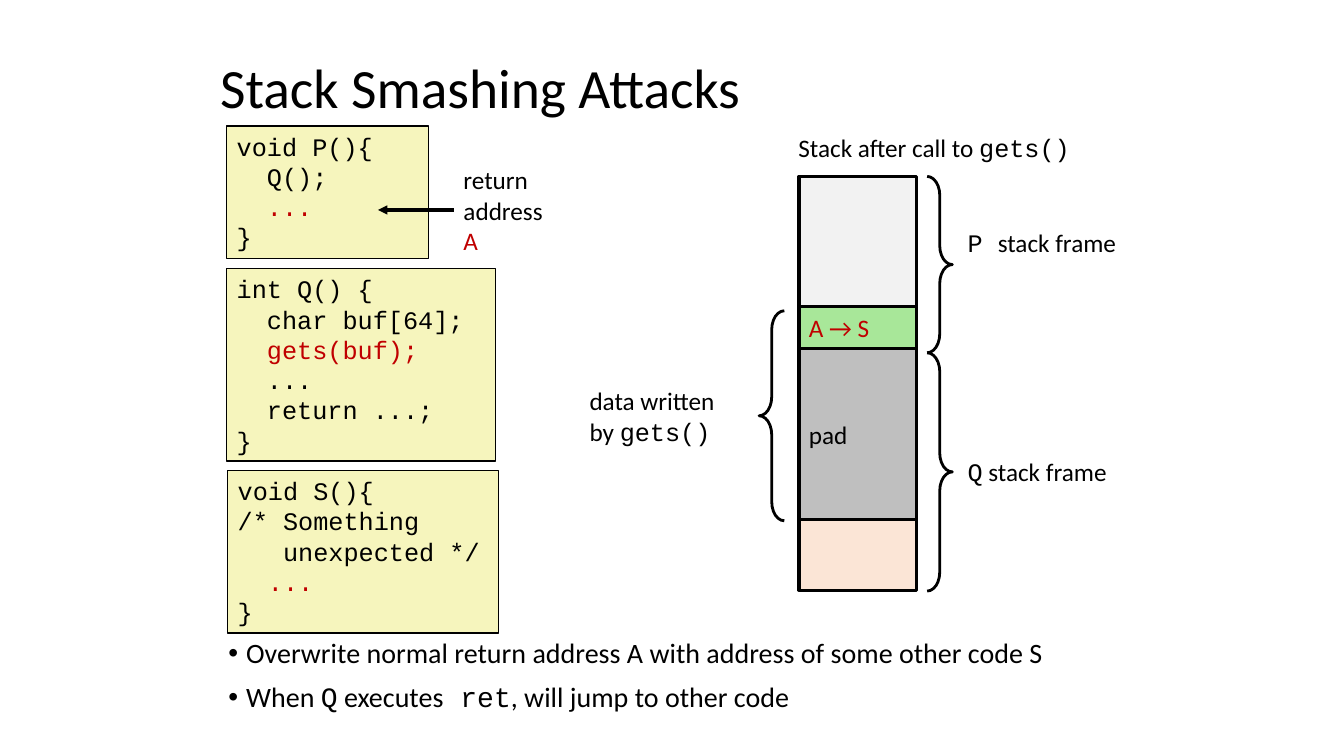
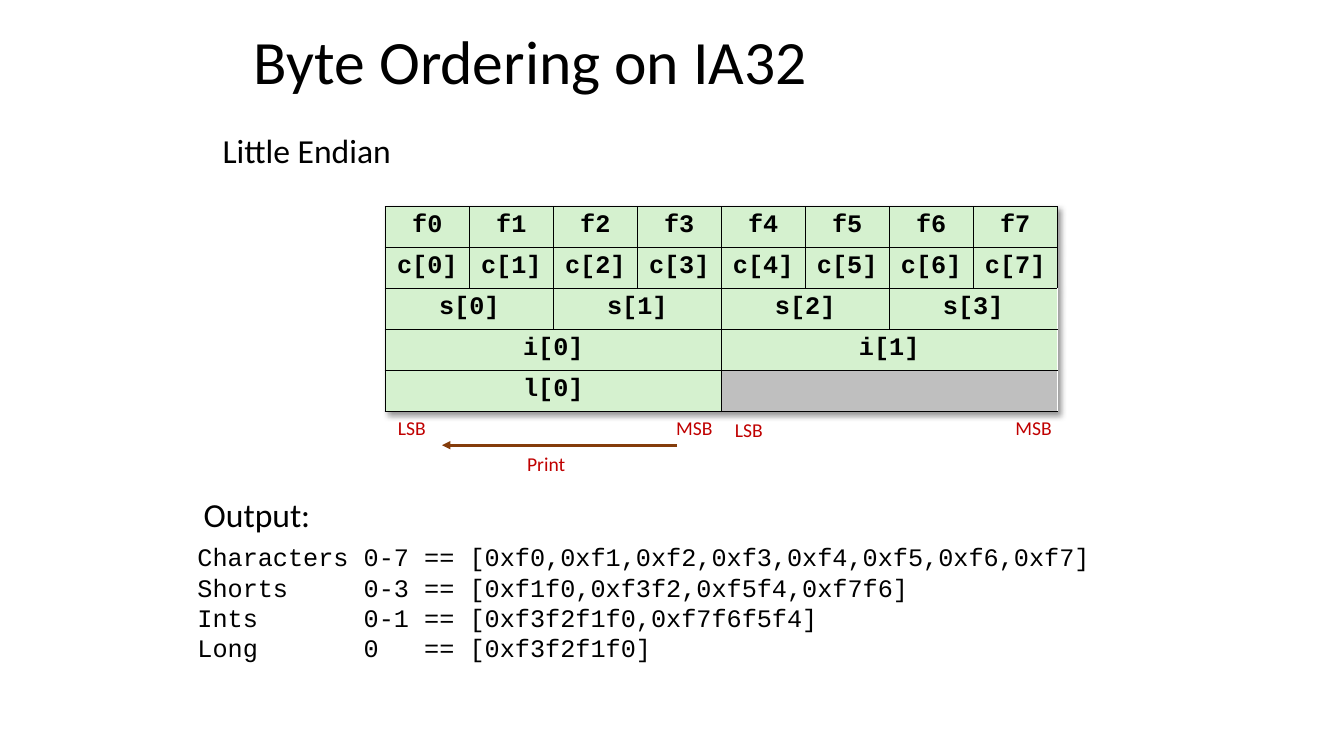
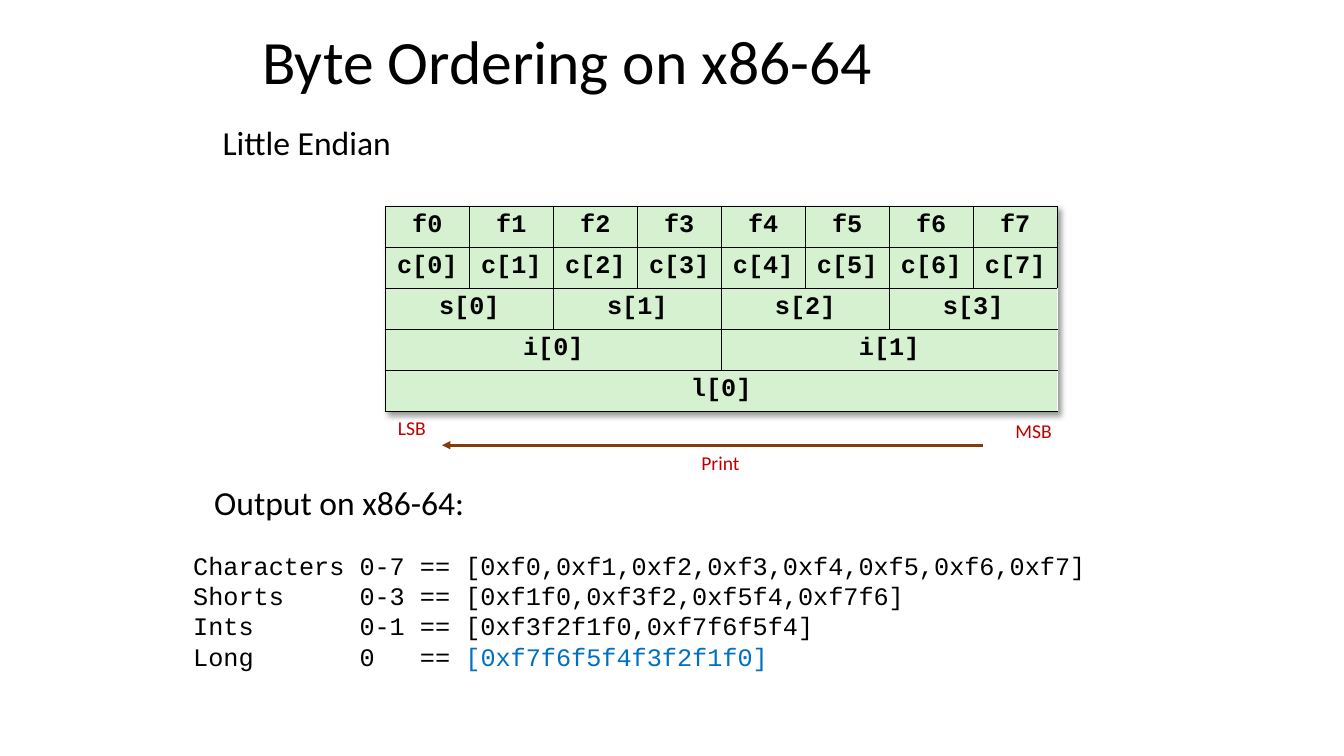
from lxml.etree import SubElement
from pptx import Presentation
from pptx.dml.color import RGBColor
from pptx.enum.shapes import MSO_CONNECTOR, MSO_SHAPE
from pptx.enum.text import MSO_ANCHOR, MSO_AUTO_SIZE, PP_ALIGN
from pptx.oxml.ns import qn
from pptx.util import Emu, Pt

SANS, MONO = "Calibri", "Courier New"
BLACK, RED, BLUE, BROWN = "000000", "C00000", "0070C0", "843C0B"
CODE_FILL, BYTE_FILL, UNUSED_FILL = "F6F5BD", "D5F1CF", "BFBFBF"
TITLE_ONLY = 5
BYTES = 8


def px(length):
    return Emu(length * 9525)


def color(hex_string):
    return RGBColor.from_string(hex_string)


def box_of(*lengths):
    return [px(length) for length in lengths]


# Text: a paragraph is a list of runs, a run is a string or (string, changes)
def mono(text):
    return text, {"font": MONO}


def red(text):
    return text, {"ink": RED}


def add_run(paragraph, text, size, font=SANS, ink=BLACK, bold=False):
    run = paragraph.add_run()
    run.text = text
    run.font.size = Pt(size)
    run.font.name = font
    run.font.bold = bold
    run.font.color.rgb = color(ink)


def write(frame, paragraphs, size, align=PP_ALIGN.LEFT, before=0, spacing=1.0, **style):
    for number, runs in enumerate(paragraphs):
        paragraph = frame.add_paragraph() if number else frame.paragraphs[0]
        paragraph.alignment = align
        paragraph.space_before = Pt(before)
        paragraph.line_spacing = spacing
        for run in runs:
            text, changes = (run, {}) if isinstance(run, str) else run
            add_run(paragraph, text, size, **{**style, **changes})


def set_frame(frame, anchor=MSO_ANCHOR.TOP, inset=None):
    frame.word_wrap = True
    frame.auto_size = MSO_AUTO_SIZE.NONE
    frame.vertical_anchor = anchor
    if inset is not None:
        frame.margin_left = frame.margin_right = px(inset)
        frame.margin_top = frame.margin_bottom = px(inset)


def add_label(slide, box, paragraphs, size=18, anchor=MSO_ANCHOR.TOP, inset=None, **style):
    label = slide.shapes.add_textbox(*box_of(*box))
    set_frame(label.text_frame, anchor, inset)
    write(label.text_frame, paragraphs, size, **style)
    return label


def add_titled_slide(deck, title, box, size=44):
    slide = deck.slides.add_slide(deck.slide_layouts[TITLE_ONLY])
    heading = slide.shapes.title
    heading.left, heading.top, heading.width, heading.height = box_of(*box)
    set_frame(heading.text_frame, MSO_ANCHOR.MIDDLE)
    write(heading.text_frame, [[title]], size, spacing=0.9)
    return slide


def add_bullets(slide, box, paragraphs, size, indent):
    bullets = add_label(slide, box, paragraphs, size, MSO_ANCHOR.MIDDLE, before=10, spacing=0.9)
    for paragraph in bullets.text_frame.paragraphs:
        properties = paragraph._p.get_or_add_pPr()
        properties.set("marL", str(px(indent)))
        properties.set("indent", str(px(-indent)))
        SubElement(properties, qn("a:buFont"), typeface="Arial")
        SubElement(properties, qn("a:buChar"), char="•")


# Shapes and lines
def add_block(slide, box, fill, width, paragraphs=(), anchor=MSO_ANCHOR.MIDDLE, **style):
    block = slide.shapes.add_shape(MSO_SHAPE.RECTANGLE, *box_of(*box))
    block.shadow.inherit = False
    block.fill.solid()
    block.fill.fore_color.rgb = color(fill)
    block.line.color.rgb = color(BLACK)
    block.line.width = Pt(width)
    set_frame(block.text_frame, anchor)
    write(block.text_frame, paragraphs, 18, **style)


def add_code(slide, box, lines):
    add_block(slide, box, CODE_FILL, 1, lines, MSO_ANCHOR.TOP, font=MONO)


def add_brace(slide, preset, box):
    brace = slide.shapes.add_shape(preset, *box_of(*box))
    brace.shadow.inherit = False
    brace.adjustments[0] = 0.75
    brace.fill.background()
    brace.line.color.rgb = color(BLACK)
    brace.line.width = Pt(2)


def add_left_arrow(slide, start, end, y, ink, width):
    arrow = slide.shapes.add_connector(MSO_CONNECTOR.STRAIGHT, *box_of(start, y, end, y))
    arrow.line.color.rgb = color(ink)
    arrow.line.width = Pt(width)
    SubElement(arrow.line._get_or_add_ln(), qn("a:tailEnd"), type="triangle")
    SubElement(arrow._element.spPr, qn("a:effectLst"))
    return arrow


# Table of overlapping byte, short, int and long values
def add_border(cell, position, side):
    border = SubElement(cell._tc.get_or_add_tcPr(), qn(f"a:ln{side}"), w=str(Pt(1)))
    fill = SubElement(border, qn("a:solidFill"))
    SubElement(fill, qn("a:srgbClr"), val=BLACK)
    cell._tc.tcPr.insert(position, border)


def add_table_shadow(table):
    properties = table._tbl.tblPr
    effects = SubElement(properties, qn("a:effectLst"))
    shadow = SubElement(effects, qn("a:outerShdw"), blurRad="50800", dist="38100",
                        dir="2700000", algn="tl", rotWithShape="0")
    ink = SubElement(shadow, qn("a:srgbClr"), val=BLACK)
    SubElement(ink, qn("a:alpha"), val="40000")
    properties.insert(0, effects)


def add_byte_table(slide, long_row):
    rows = [[f"f{i}" for i in range(BYTES)]]
    rows += [[f"{name}[{i}]" for i in range(count)] for name, count in (("c", 8), ("s", 4), ("i", 2))]
    rows.append(long_row)
    frame = slide.shapes.add_table(len(rows), BYTES, *box_of(367, 197, 80 * BYTES, 39 * len(rows)))
    table = frame.table
    table.first_row = table.horz_banding = False
    add_table_shadow(table)
    for r, names in enumerate(rows):
        span = BYTES // len(names)
        for column in range(BYTES):
            cell = table.cell(r, column)
            name = names[column // span]
            cell.fill.solid()
            cell.fill.fore_color.rgb = color(BYTE_FILL if name else UNUSED_FILL)
            sides = "L" * (column % span == 0) + "R" * ((column + 1) % span == 0) + "TB"
            for position, side in enumerate(sides):
                add_border(cell, position, side)
            if column % span == 0:
                if span > 1:
                    cell.merge(table.cell(r, column + span - 1))
                if name:
                    write(cell.text_frame, [[name]], 18, PP_ALIGN.CENTER, font=MONO, bold=True)


def add_byte_slide(deck, title, title_box, long_row, marks, arrow_start,
                   headings, output_box, long_value):
    slide = add_titled_slide(deck, title, title_box)
    for text, x, y in headings:
        add_label(slide, (x, y, 385, 47), [[text]], 24, inset=4, before=8.6)
    output = [
        ["Characters 0-7 == [0xf0,0xf1,0xf2,0xf3,0xf4,0xf5,0xf6,0xf7]"],
        ["Shorts     0-3 == [0xf1f0,0xf3f2,0xf5f4,0xf7f6]"],
        ["Ints       0-1 == [0xf3f2f1f0,0xf7f6f5f4]"],
        ["Long       0   == ", long_value],
    ]
    add_label(slide, output_box, output, inset=4, font=MONO)
    add_byte_table(slide, long_row)
    for text, x, y in marks:
        add_label(slide, (x, y, 60, 31), [[text]], 14, inset=4, ink=RED)
    add_left_arrow(slide, arrow_start, 421, 424, BROWN, 2)


def add_stack(slide, x, y, width):
    add_label(slide, (x - 10, 121, 310, 38), [["Stack after call to ", mono("gets()")]])
    parts = [
        (124, "F2F2F2", []),
        (40, "A8E799", [[red("A → S")]]),
        (163, "BFBFBF", [["pad"]]),
        (67, "FBE5D6", []),
    ]
    for height, fill, paragraphs in parts:
        add_block(slide, (x, y, width, height), fill, 2.25, paragraphs)
        y += height


def add_stack_slide(deck):
    slide = add_titled_slide(deck, "Stack Smashing Attacks", (200, 56, 872, 60), 39.6)
    add_bullets(slide, (208, 584, 867, 120), [
        ["Overwrite normal return address A with address of some other code S"],
        ["When ", mono("Q"), " executes", mono(" ret"), ", will jump to other code"],
    ], 20, 17)

    # Code of the three functions
    add_code(slide, (216, 120, 192, 126), [["void P(){"], ["  Q();"], ["  ", red("...")], ["}"]])
    add_code(slide, (216, 256, 256, 183), [
        ["int Q() {"], ["  char buf[64];"], ["  ", red("gets(buf);")],
        ["  ..."], ["  return ...;"], ["}"],
    ])
    add_code(slide, (217, 448, 258, 155), [
        ["void S(){"], ["/* Something"], ["   unexpected */"], ["  ", red("...")], ["}"],
    ])
    return_label = add_label(slide, (432, 152, 110, 96), [["return"], ["address"], [red("A")]],
                             anchor=MSO_ANCHOR.MIDDLE)
    return_arrow = add_left_arrow(slide, 432, 360, 200, BLACK, 2.25)
    return_arrow.begin_connect(return_label, 1)

    # Stack with its braces and labels
    add_stack(slide, 761, 168, 112)
    add_brace(slide, MSO_SHAPE.RIGHT_BRACE, (883, 168, 24, 168))
    add_brace(slide, MSO_SHAPE.RIGHT_BRACE, (883, 336, 24, 227))
    add_brace(slide, MSO_SHAPE.LEFT_BRACE, (723, 296, 24, 200))
    for box, paragraphs in (
        ((912, 212, 180, 38), [[mono("P "), "stack frame"]]),
        ((912, 430, 180, 38), [[mono("Q"), " stack frame"]]),
        ((552, 362, 150, 68), [["data written"], ["by ", mono("gets()")]]),
    ):
        add_label(slide, box, paragraphs, anchor=MSO_ANCHOR.MIDDLE)


def main():
    deck = Presentation()
    deck.slide_width, deck.slide_height = px(1280), px(720)
    add_stack_slide(deck)
    add_byte_slide(
        deck, "Byte Ordering on IA32", (232, 0, 659, 122), ["l[0]", ""],
        [("LSB", 375, 392), ("MSB", 640, 392), ("LSB", 696, 394), ("MSB", 963, 392),
         ("Print", 498, 426)],
        645, [("Little Endian", 208, 120), ("Output:", 190, 466)],
        (184, 512, 888, 152), "[0xf3f2f1f0]")
    add_byte_slide(
        deck, "Byte Ordering on x86-64", (240, 0, 680, 122), ["l[0]"],
        [("LSB", 375, 392), ("MSB", 963, 395), ("Print", 664, 425)],
        936, [("Little Endian", 208, 112), ("Output on x86-64:", 200, 455)],
        (180, 520, 920, 130), ("[0xf7f6f5f4f3f2f1f0]", {"ink": BLUE}))
    deck.save("out.pptx")


if __name__ == "__main__":
    main()
